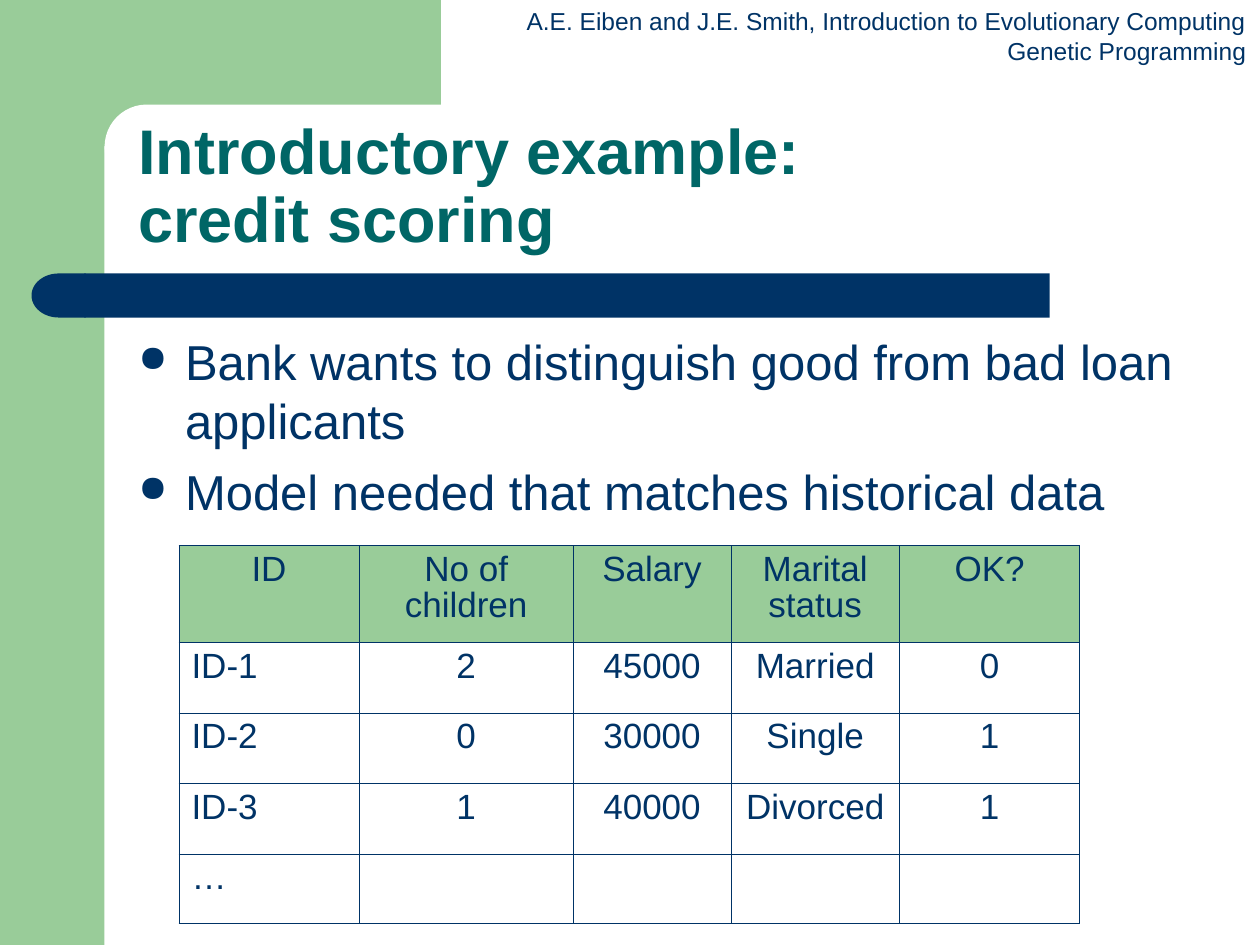
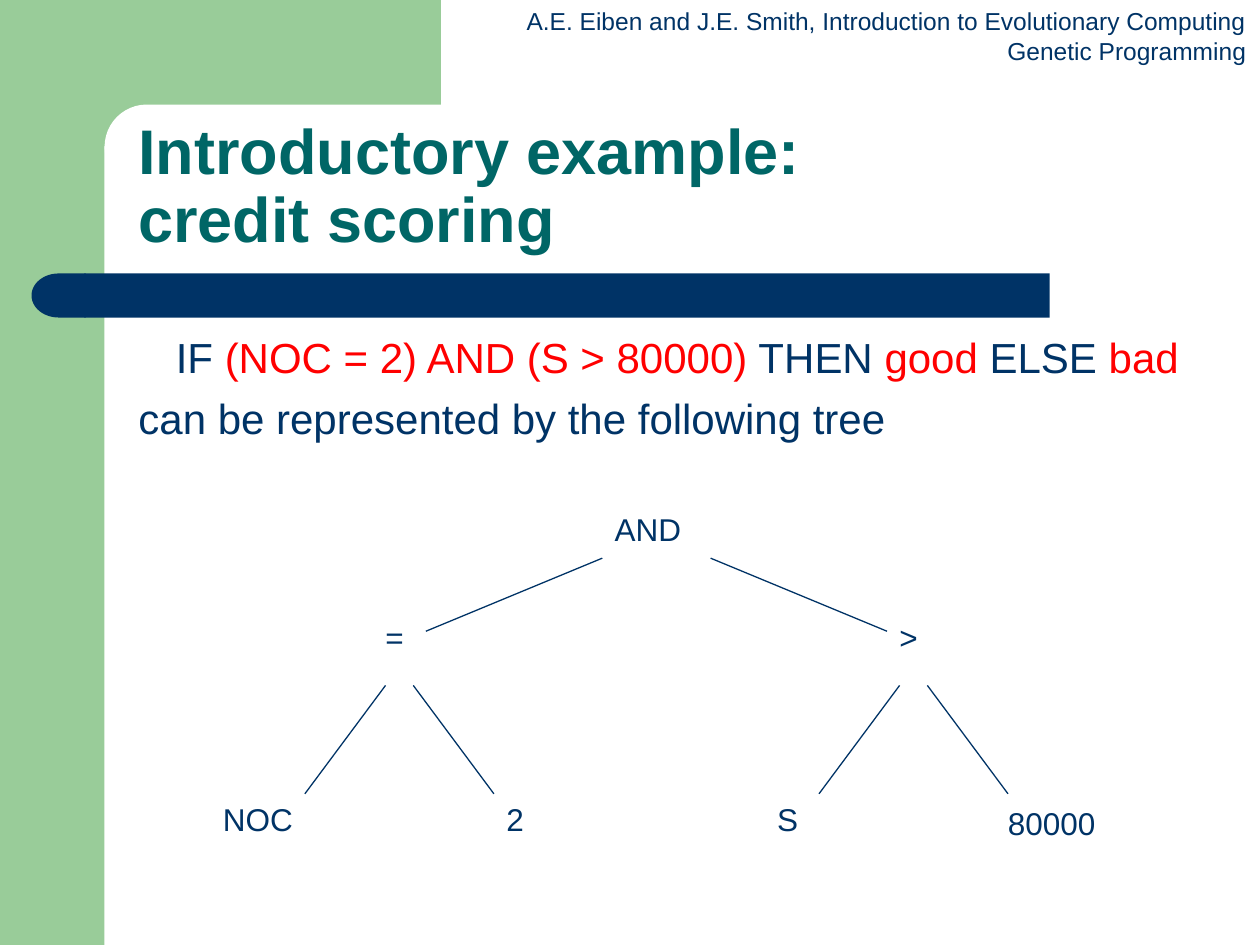
"""Build two slides on credit scoring with genetic programming."""
from dataclasses import dataclass

from lxml.etree import SubElement
from pptx import Presentation
from pptx.dml.color import RGBColor as RGB
from pptx.enum.shapes import MSO_CONNECTOR as Link, MSO_SHAPE as Form
from pptx.enum.text import MSO_ANCHOR as Anchor, MSO_AUTO_SIZE as Auto, PP_ALIGN as Align
from pptx.oxml.ns import qn
from pptx.util import Inches, Pt


@dataclass(frozen=True)
class Theme:
    font: str = "Arial"
    navy: str = "003366"
    teal: str = "006666"
    green: str = "99CC99"
    red: str = "FF0000"
    white: str = "FFFFFF"
    title: int = 36
    body: int = 28
    rule: int = 24
    cell: int = 20
    node: int = 18
    head: int = 14


class Deck:
    def __init__(self, theme):
        self.theme = theme
        self.show = Presentation()
        self.show.slide_width, self.show.slide_height = Inches(10), Inches(7.5)
        self.slide = None

    def page(self, title):
        t = self.theme
        self.slide = self.show.slides.add_slide(self.show.slide_layouts[6])
        self.shape(Form.RECTANGLE, (0, 0, 0.83, 7.5), t.green)
        self.shape(Form.RECTANGLE, (0.75, 0, 2.75, 1.16), t.green)
        self.shape(Form.ROUNDED_RECTANGLE, (0.83, 0.83, 5.58, 0.67), t.white, 0.5)
        self.shape(Form.ROUNDED_RECTANGLE, (0.67, 2.17, 7.66, 0.35), t.navy, 0)
        cap = self.shape(Form.FLOWCHART_DELAY, (0.25, 2.17, 0.43, 0.35), t.navy)
        cap.rotation = 180
        head = self.box((4.08, 0, 5.91, 0.57), wrap=False, grow=True)
        for text in ("A.E. Eiben and J.E. Smith, Introduction to Evolutionary Computing",
                     "Genetic Programming"):
            self.para(head, [(text, t.navy)], t.head, align=Align.RIGHT)
        frame = self.box((1, 0.83, 8.75, 1.25))
        frame.vertical_anchor = Anchor.BOTTOM
        self.para(frame, [(title, t.teal)], t.title, bold=True, lead=0.9)

    def shape(self, form, place, color, bend=None):
        item = self.slide.shapes.add_shape(form, *map(Inches, place))
        item.shadow.inherit = False
        item.fill.solid()
        item.fill.fore_color.rgb = RGB.from_string(color)
        item.line.fill.background()
        if bend is not None:
            item.adjustments[0] = bend
        return item

    def box(self, place, wrap=True, grow=False):
        frame = self.slide.shapes.add_textbox(*map(Inches, place)).text_frame
        frame.word_wrap = wrap
        frame.auto_size = Auto.SHAPE_TO_FIT_TEXT if grow else Auto.NONE
        return frame

    def para(self, frame, runs, size, align=Align.LEFT, bold=False, lead=None,
             gap=0, hang=0, dot=False):
        para = frame.paragraphs[0]
        if para.runs:
            para = frame.add_paragraph()
            para.space_before = Pt(gap)
        para.alignment = align
        if lead:
            para.line_spacing = lead
        if hang:
            props = para._p.get_or_add_pPr()
            props.set("marL", str(Inches(hang)))
            props.set("indent", str(Inches(-hang)))
            if dot:
                SubElement(props, qn("a:buSzPct"), val="75000")
                SubElement(props, qn("a:buChar"), char="●")
        for text, color in runs:
            for index, part in enumerate(text.split("\n")):
                if index:
                    para.add_line_break()
                run = para.add_run()
                run.text = part
                font = run.font
                font.name, font.size, font.bold = self.theme.font, Pt(size), bold
                font.color.rgb = RGB.from_string(color)

    def edge(self, cell, side, width):
        line = SubElement(cell._tc.get_or_add_tcPr(), qn("a:ln" + side), w=str(Pt(width)))
        fill = SubElement(line, qn("a:solidFill"))
        SubElement(fill, qn("a:srgbClr"), val=self.theme.navy)

    def table(self, place, rows, widths, heights):
        t = self.theme
        grid = self.slide.shapes.add_table(len(rows), len(widths), *map(Inches, place)).table
        grid.first_row = grid.horz_banding = False
        for col, width in zip(grid.columns, widths):
            col.width = Inches(width)
        for row, high in zip(grid.rows, heights):
            row.height = Inches(high)
        last, end = len(rows) - 1, len(widths) - 1
        for y, row in enumerate(rows):
            for x, text in enumerate(row):
                cell = grid.cell(y, x)
                outer = {"L": x == 0, "R": x == end, "T": y == 0, "B": y == last}
                for side, rim in outer.items():
                    self.edge(cell, side, 0.5 if rim else 0.23)
                if y:
                    cell.fill.background()
                else:
                    cell.fill.solid()
                    cell.fill.fore_color.rgb = RGB.from_string(t.green)
                if text:
                    align = Align.LEFT if y and not x else Align.CENTER
                    self.para(cell.text_frame, [(text, t.navy)], t.cell, align, lead=0.94)

    def node(self, text, left, top, width):
        frame = self.box((left, top, width, 0.4), grow=True)
        self.para(frame, [(text, self.theme.navy)], self.theme.node)

    def line(self, *ends):
        item = self.slide.shapes.add_connector(Link.STRAIGHT, *map(Inches, ends))
        item.line.color.rgb = RGB.from_string(self.theme.navy)
        item.line.width = Pt(0.75)
        SubElement(item._element.spPr, qn("a:effectLst"))


def main():
    t = Theme()
    deck = Deck(t)
    title = "Introductory example: \ncredit scoring"
    body = (1, 2.58, 8.75, 4.08)

    deck.page(title)
    frame = deck.box(body)
    for text in ("Bank wants to distinguish good from bad loan applicants",
                 "Model needed that matches historical data"):
        deck.para(frame, [(text, t.navy)], t.body, gap=7, hang=0.37, dot=True)
    rows = [("ID", "No of children", "Salary", "Marital status", "OK?"),
            ("ID-1", "2", "45000", "Married", "0"),
            ("ID-2", "0", "30000", "Single", "1"),
            ("ID-3", "1", "40000", "Divorced", "1"),
            ("…", "", "", "", "")]
    deck.table((1.42, 4.33, 7.17, 2.99), rows, (1.43, 1.7, 1.25, 1.34, 1.43),
               (0.77, 0.56, 0.56, 0.56, 0.55))

    deck.page(title)
    frame = deck.box(body)
    rule = [("IF ", t.navy), ("(NOC = 2) AND (S > 80000)", t.red), (" THEN ", t.navy),
            ("good", t.red), (" ELSE ", t.navy), ("bad", t.red)]
    deck.para(frame, rule, t.rule, Align.CENTER, hang=0.37)
    deck.para(frame, [("can be represented by the following tree", t.navy)], t.rule,
              gap=6, hang=0.37)
    for node in (("AND", 4.78, 4, 1.29), ("=", 2.96, 4.86, 0.53), (">", 7.04, 4.86, 0.54),
                 ("NOC", 1.67, 6.3, 1.29), ("2", 3.92, 6.3, 0.53), ("S", 6.07, 6.3, 0.53),
                 ("80000", 7.9, 6.33, 1.18)):
        deck.node(*node)
    span = 10.42
    for x1, y1, x2, y2 in ((4.78, 4.43, 3.38, 5.01), (3.06, 5.44, 2.42, 6.3),
                           (3.28, 5.44, 3.92, 6.3)):
        deck.line(x1, y1, x2, y2)
        deck.line(span - x1, y1, span - x2, y2)

    deck.show.save("out.pptx")


if __name__ == "__main__":
    main()
